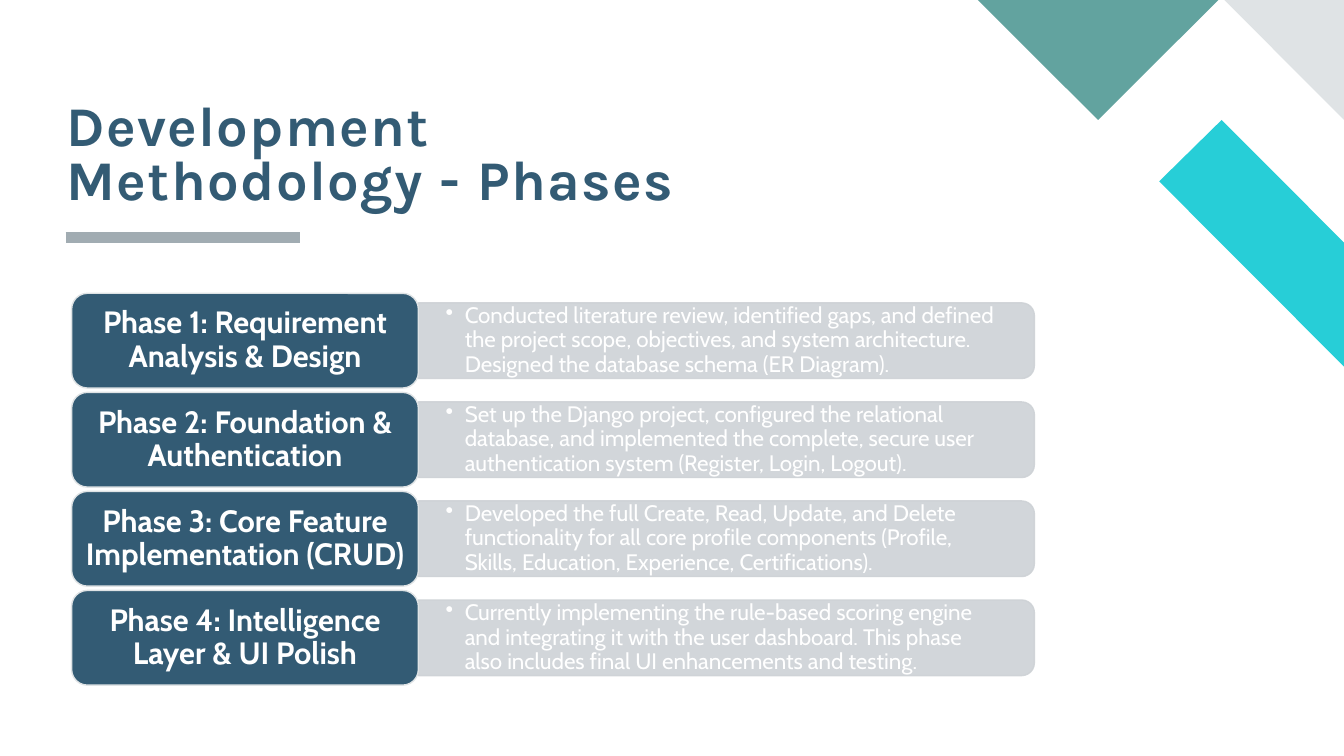
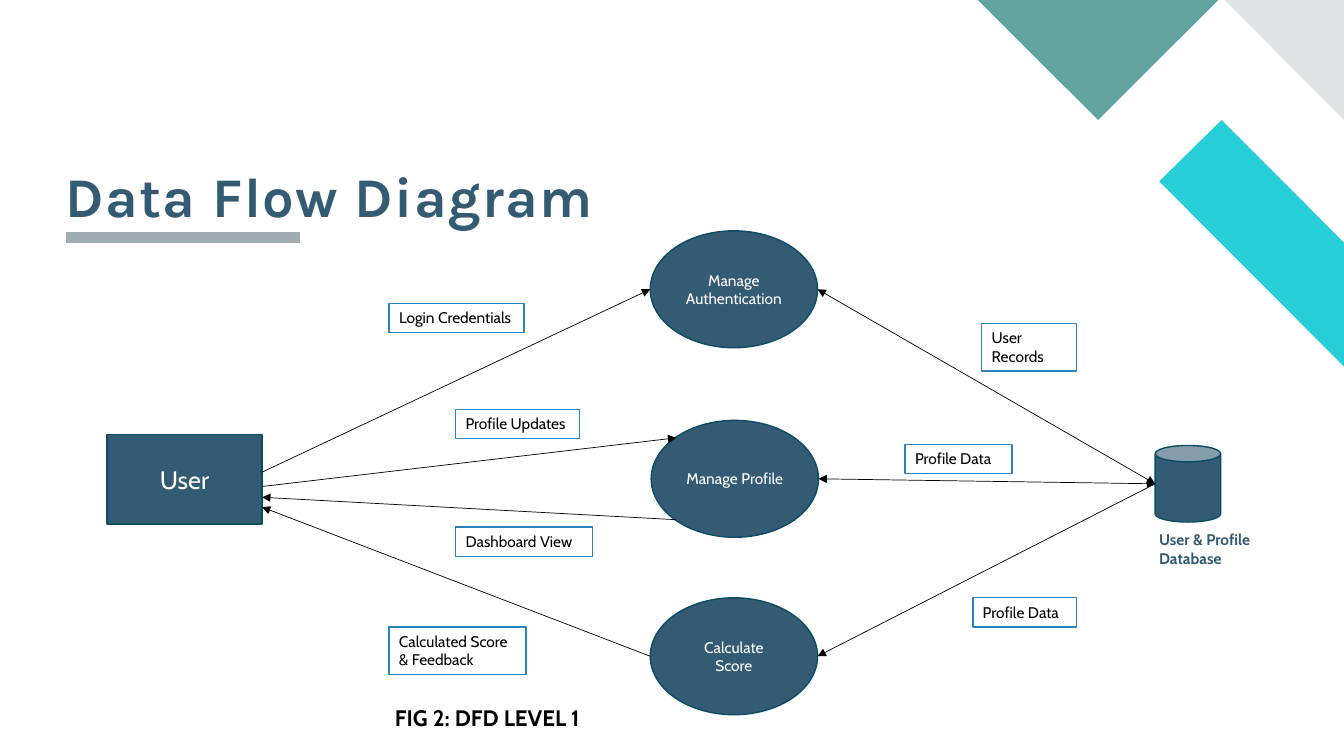
from lxml.etree import SubElement
from pptx import Presentation
from pptx.dml.color import RGBColor
from pptx.enum.shapes import MSO_CONNECTOR, MSO_SHAPE
from pptx.enum.text import MSO_ANCHOR, PP_ALIGN
from pptx.oxml.ns import qn
from pptx.util import Inches, Pt

WIDTH, HEIGHT = Inches(13.33), Inches(7.5)

NAVY = RGBColor(0x33, 0x5B, 0x74)
NAVY_EDGE = RGBColor(0x0C, 0x4C, 0x64)
TEAL = RGBColor(0x62, 0xA3, 0x9F)
CYAN = RGBColor(0x27, 0xCE, 0xD7)
PALE = RGBColor(0xDF, 0xE3, 0xE5)
BAR = RGBColor(0xCE, 0xD2, 0xD6)
RULE = RGBColor(0xA1, 0xAC, 0xB2)
BLUE = RGBColor(0x26, 0x83, 0xC6)
WHITE = RGBColor(0xFF, 0xFF, 0xFF)
BLACK = RGBColor(0, 0, 0)

# Corner ornaments: colour and outline in percent of the slide
ORNAMENTS = [
    (CYAN, [(86.25, 24), (90.9, 15.87), (100, 32.1), (100, 48.5)]),
    (PALE, [(91.1, 0), (100, 0), (100, 15.87)]),
    (TEAL, [(72.75, 0), (90.65, 0), (81.7, 15.87)]),
]

PHASES = [
    ("Phase 1: Requirement Analysis & Design",
     "Conducted literature review, identified gaps, and defined the project scope, "
     "objectives, and system architecture. Designed the database schema (ER Diagram)."),
    ("Phase 2: Foundation & Authentication",
     "Set up the Django project, configured the relational database, and implemented "
     "the complete, secure user authentication system (Register, Login, Logout)."),
    ("Phase 3: Core Feature Implementation (CRUD)",
     "Developed the full Create, Read, Update, and Delete functionality for all core "
     "profile components (Profile, Skills, Education, Experience, Certifications)."),
    ("Phase 4: Intelligence Layer & UI Polish",
     "Currently implementing the rule-based scoring engine and integrating it with the "
     "user dashboard. This phase also includes final UI enhancements and testing."),
]

# Flow labels: text, left, top, width, number of lines
LABELS = [
    ("Login Credentials", 28.95, 40.13, 10.05, 1),
    ("Profile Updates", 33.9, 54.13, 9.23, 1),
    ("User Records", 73.05, 42.8, 7.05, 2),
    ("Profile Data", 67.35, 58.8, 7.95, 1),
    ("Profile Data", 72.38, 79.07, 7.73, 1),
    ("Dashboard View", 33.9, 69.73, 10.2, 1),
    ("Calculated Score & Feedback", 28.95, 82.93, 10.2, 2),
]


def px(share):
    """Percent of the slide width."""
    return int(WIDTH * share / 100)


def py(share):
    """Percent of the slide height."""
    return int(HEIGHT * share / 100)


def area(x, y, w, h):
    return px(x), py(y), px(w), py(h)


def set_text(sp, text, size, color, bold=False, font="Cabin", align=PP_ALIGN.LEFT,
             anchor=MSO_ANCHOR.TOP, spacing=None, insets=(0.1, 0.05)):
    tf = sp.text_frame
    tf.word_wrap = True
    tf.vertical_anchor = anchor
    tf.margin_left = tf.margin_right = Inches(insets[0])
    tf.margin_top = tf.margin_bottom = Inches(insets[1])
    p = tf.paragraphs[0]
    p.alignment = align
    if spacing:
        p.line_spacing = spacing
    for i, line in enumerate(text.split("\n")):
        if i:
            p.add_line_break()
        r = p.add_run()
        r.text = line
        r.font.name, r.font.size, r.font.bold = font, Pt(size), bold
        r.font.color.rgb = color
    return p


def add_textbox(s, box, text, size, color, **style):
    return set_text(s.shapes.add_textbox(*box), text, size, color, **style)


def paint(sp, fill, edge=None):
    sp.shadow.inherit = False
    sp.fill.solid()
    sp.fill.fore_color.rgb = fill
    if edge is None:
        sp.line.fill.background()
    else:
        sp.line.color.rgb = edge
        sp.line.width = Pt(1)


def add_box(s, kind, box, fill, edge):
    sp = s.shapes.add_shape(kind, *box)
    paint(sp, fill, edge)
    return sp


def add_line(s, start, end, color, width, head=False, tail=False):
    cn = s.shapes.add_connector(MSO_CONNECTOR.STRAIGHT, *start, *end)
    cn.line.color.rgb = color
    cn.line.width = Pt(width)
    ln = cn.line._get_or_add_ln()
    for tag, wanted in (("a:headEnd", head), ("a:tailEnd", tail)):
        if wanted:
            SubElement(ln, qn(tag), type="triangle")
    SubElement(cn._element.spPr, qn("a:effectLst"))


def add_ornament(s, color, points):
    start, *rest = [(px(x), py(y)) for x, y in points]
    fb = s.shapes.build_freeform(*start)
    fb.add_line_segments(rest, close=True)
    paint(fb.convert_to_shape(), color)


def new_slide(prs, title, title_box):
    """Blank slide with ornaments, title rule and title."""
    s = prs.slides.add_slide(prs.slide_layouts[6])
    for color, points in ORNAMENTS:
        add_ornament(s, color, points)
    add_line(s, (px(4.88), py(31.4)), (px(22.35), py(31.4)), RULE, 8)
    p = add_textbox(s, area(*title_box), title, 40, NAVY, bold=True, font="Karla",
                    anchor=MSO_ANCHOR.BOTTOM, spacing=0.8, insets=(0, 0))
    for r in p.runs:
        r._r.get_or_add_rPr().set("spc", "100")
    return s


def add_phase(s, row, name, detail):
    card_h, bar_h = 12.53, 10
    top = 38.8 + 13.1 * row
    x, y, w, h = area(31.13, top + (card_h - bar_h) / 2, 45.83, bar_h)

    # Bar turned a quarter so that its round corners face right
    turned = x + (w - h) // 2, y + (h - w) // 2, h, w
    bar = add_box(s, MSO_SHAPE.ROUND_2_SAME_RECTANGLE, turned, BAR, BAR)
    bar.rotation = 90
    for clr in bar._element.spPr.iter(qn("a:srgbClr")):
        SubElement(clr, qn("a:alpha"), val="90000")

    # Bulleted detail, a little narrower than the bar
    p = add_textbox(s, (x, y, px(45.4), h), detail, 16, WHITE,
                    anchor=MSO_ANCHOR.MIDDLE, spacing=0.9, insets=(0.27, 0))
    pPr = p._p.get_or_add_pPr()
    pPr.set("marL", str(Inches(0.19)))
    pPr.set("indent", str(-Inches(0.19)))
    SubElement(pPr, qn("a:buChar"), char="•")

    # Phase card
    card = add_box(s, MSO_SHAPE.ROUNDED_RECTANGLE, area(5.33, top, 25.8, card_h),
                   NAVY, PALE)
    set_text(card, name, 22, WHITE, bold=True, align=PP_ALIGN.CENTER,
             anchor=MSO_ANCHOR.MIDDLE, spacing=0.9, insets=(0.07, 0.05))


def add_node(s, kind, box, text="", size=11):
    sp = add_box(s, kind, area(*box), NAVY, NAVY_EDGE)
    if text:
        set_text(sp, text, size, WHITE, align=PP_ALIGN.CENTER, anchor=MSO_ANCHOR.MIDDLE)
    return sp


def add_label(s, text, x, y, w, lines):
    sp = add_box(s, MSO_SHAPE.RECTANGLE, area(x, y, w, 1.47 + 2.4 * lines), WHITE, BLUE)
    set_text(sp, text, 11, BLACK)


def site(sp, fx, fy):
    """Point at a share of a node's width and height."""
    return int(sp.left + sp.width * fx), int(sp.top + sp.height * fy)


def phases_slide(prs):
    s = new_slide(prs, "Development\nMethodology - Phases", (4.95, 13.8, 52, 14.13))
    for row, (name, detail) in enumerate(PHASES):
        add_phase(s, row, name, detail)


def flow_slide(prs):
    s = new_slide(prs, "Data Flow Diagram", (4.88, 21.47, 42, 8.67))

    # Nodes
    user = add_node(s, MSO_SHAPE.RECTANGLE, (7.95, 57.47, 11.55, 11.87), "User", 18)
    auth, profile, score = [
        add_node(s, MSO_SHAPE.OVAL, (x, y, 12.45, 15.47), text)
        for x, y, text in ((48.38, 30.53, "Manage Authentication"),
                           (48.45, 55.6, "Manage Profile"),
                           (48.38, 79.07, "Calculate Score"))]
    store = add_node(s, MSO_SHAPE.CAN, (85.95, 58.93, 4.88, 10.13))
    add_textbox(s, area(85.5, 69.47, 8.7, 6.27), "User & Profile Database", 11, NAVY,
                bold=True)

    # Flows: start, end, arrowhead at the start as well
    data = site(store, 0, 0.5)
    flows = [
        (site(user, 1, 0.42), site(auth, 0, 0.5), False),
        (site(user, 1, 0.58), site(profile, 0.15, 0.15), False),
        (site(profile, 0.15, 0.85), site(user, 1, 0.7), False),
        (site(score, 0, 0.5), site(user, 1, 0.81), False),
        (site(auth, 1, 0.5), data, True),
        (site(profile, 1, 0.5), data, True),
        (data, site(score, 1, 0.5), False),
    ]
    for start, end, both in flows:
        add_line(s, start, end, BLACK, 0.5, head=both, tail=True)

    # Labels and caption
    for label in LABELS:
        add_label(s, *label)
    add_textbox(s, area(28.65, 92.53, 16.13, 4.93), "FIG 2: DFD LEVEL 1", 16, BLACK,
                bold=True)


def main():
    prs = Presentation()
    prs.slide_width, prs.slide_height = WIDTH, HEIGHT
    phases_slide(prs)
    flow_slide(prs)
    prs.save("out.pptx")


if __name__ == "__main__":
    main()
